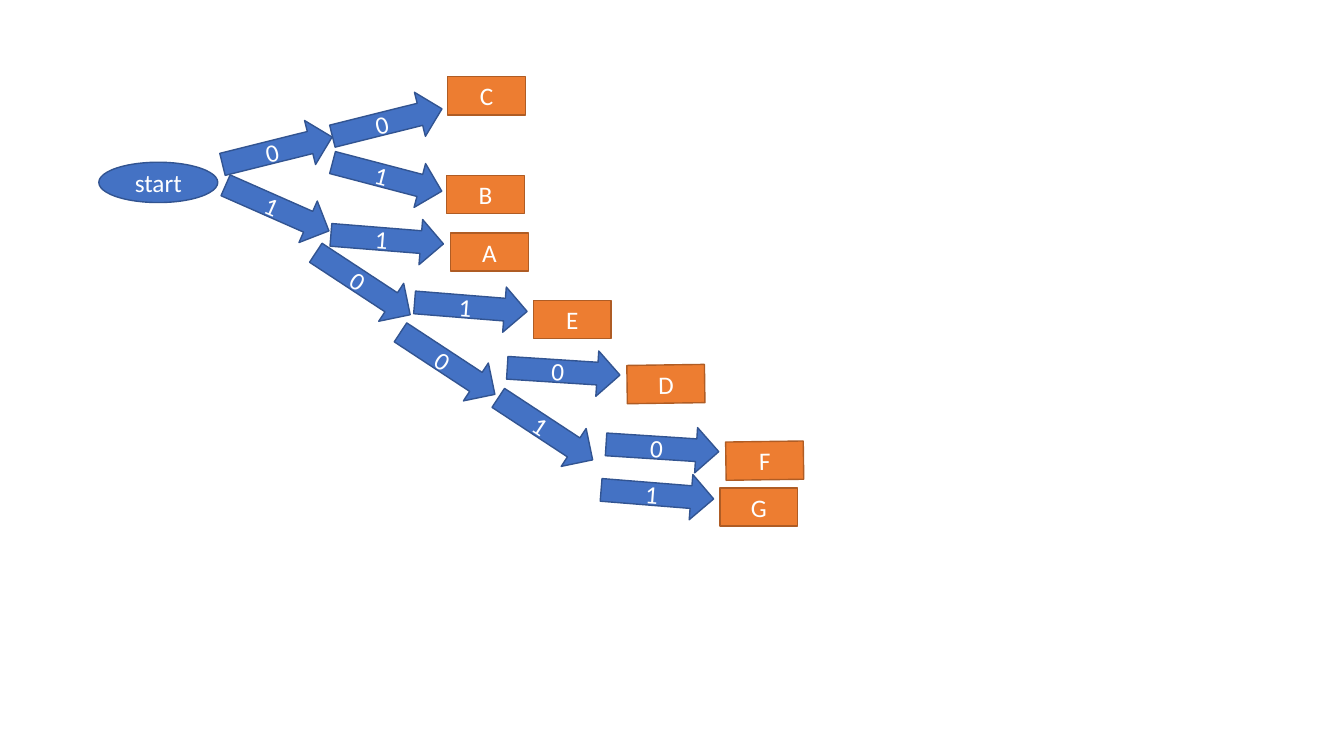
from pptx import Presentation
from pptx import util as u
from pptx.dml.color import RGBColor
from pptx.enum import shapes, text

COLORS = {
    "branch": "4472C4",
    "branch_edge": "325491",
    "leaf": "ED7D31",
    "leaf_edge": "AF5C24",
    "label": "FFFFFF",
}

# bit, left, top, rotation
BRANCHES = [
    ("0", 2.19, 1.27, 346),
    ("0", 3.28, 0.99, 346),
    ("1", 2.19, 1.84, 23.8),
    ("1", 3.28, 1.53, 14.7),
    ("1", 3.28, 2.15, 4.6),
    ("0", 3.04, 2.59, 33.3),
    ("1", 4.11, 2.82, 4.6),
    ("0", 3.88, 3.38, 33.3),
    ("1", 4.85, 4.03, 33.3),
    ("0", 5.03, 3.46, 3.7),
    ("0", 6.01, 4.22, 3.7),
    ("1", 5.96, 4.68, 4.6),
]

# letter, left, top, rotation
LEAVES = [
    ("C", 4.44, 0.76, 0),
    ("B", 4.43, 1.74, 0),
    ("A", 4.47, 2.31, 0),
    ("E", 5.29, 2.98, 0),
    ("D", 6.22, 3.62, 359.2),
    ("F", 7.2, 4.38, 359.2),
    ("G", 7.14, 4.84, 0),
]


def color(name):
    return RGBColor.from_string(COLORS[name])


def write_text(shape, words, size=18, font="Calibri", ink="label"):
    frame = shape.text_frame
    frame.word_wrap = True
    frame.vertical_anchor = text.MSO_ANCHOR.MIDDLE
    paragraph = frame.paragraphs[0]
    paragraph.alignment = text.PP_ALIGN.CENTER
    run = paragraph.add_run()
    run.text = words
    run.font.size = u.Pt(size)
    run.font.name = font
    run.font.color.rgb = color(ink)


class CodeTree:
    """Draws the parts of a binary code tree on one slide."""

    branch_size = (1.12, 0.45)
    leaf_size = (0.77, 0.38)
    root_size = (1.18, 0.4)
    edge_width = 1

    def __init__(self, slide):
        self.slide = slide

    def node(self, preset, words, left, top, size, rotation=0, style="branch"):
        shape = self.slide.shapes.add_shape(
            preset, *(u.Inches(length) for length in (left, top, *size)))
        shape.rotation = rotation
        shape.shadow.inherit = False
        shape.fill.solid()
        shape.fill.fore_color.rgb = color(style)
        shape.line.color.rgb = color(style + "_edge")
        shape.line.width = u.Pt(self.edge_width)
        write_text(shape, words)

    def root(self, words, left, top):
        self.node(shapes.MSO_SHAPE.OVAL, words, left, top, self.root_size)

    def branch(self, bit, left, top, rotation):
        self.node(shapes.MSO_SHAPE.RIGHT_ARROW, bit, left, top,
                  self.branch_size, rotation)

    def leaf(self, letter, left, top, rotation):
        self.node(shapes.MSO_SHAPE.RECTANGLE, letter, left, top,
                  self.leaf_size, rotation, style="leaf")


def main():
    deck = Presentation()
    deck.slide_width = u.Inches(13.33)
    deck.slide_height = u.Inches(7.5)
    tree = CodeTree(deck.slides.add_slide(deck.slide_layouts[6]))
    tree.root("start", 0.98, 1.61)
    for branch in BRANCHES:
        tree.branch(*branch)
    for leaf in LEAVES:
        tree.leaf(*leaf)
    deck.save("out.pptx")


if __name__ == "__main__":
    main()
